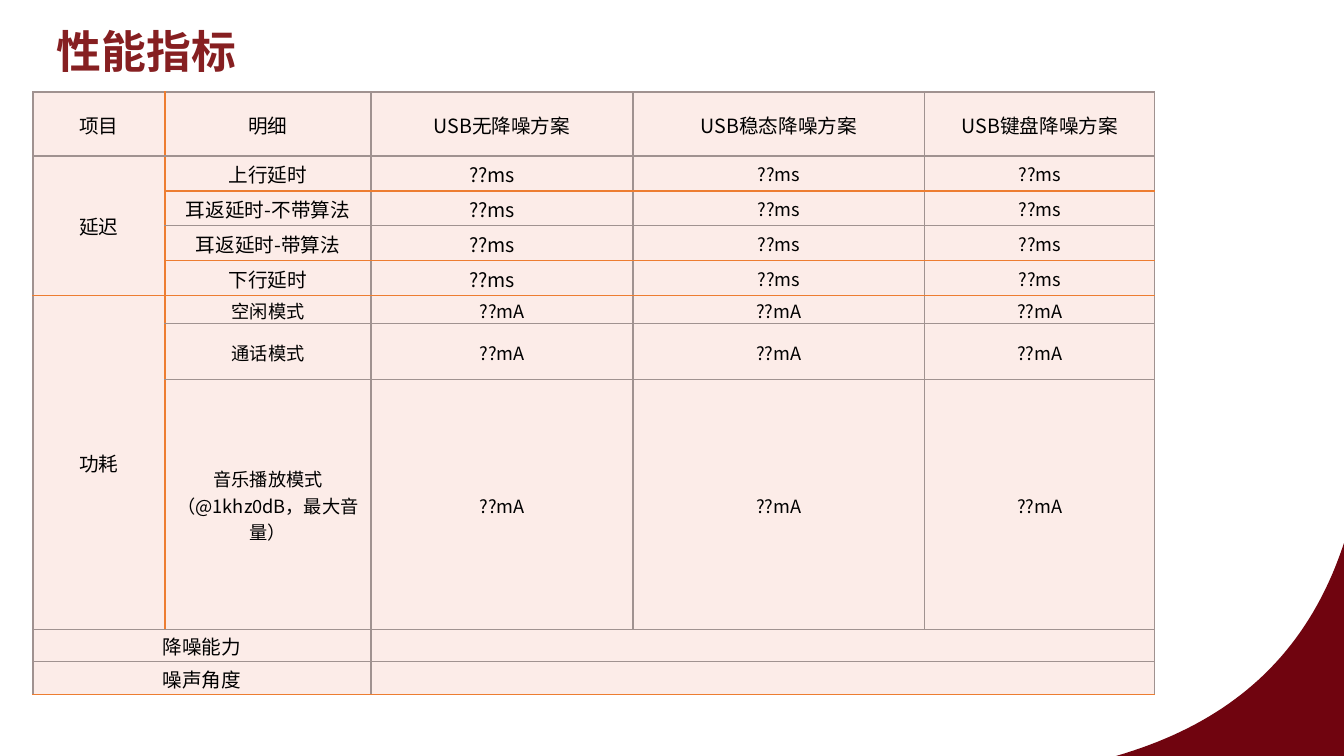
from pptx import Presentation
from pptx.dml.color import RGBColor
from pptx.enum.text import MSO_ANCHOR, PP_ALIGN
from pptx.oxml.ns import qn
from pptx.util import Pt
from lxml import etree

MID, LOW = MSO_ANCHOR.MIDDLE, MSO_ANCHOR.BOTTOM
CENTER = PP_ALIGN.CENTER
COLORS = {"title": "861F21", "curve": "70040F", "cell": "FCECE8",
          "text": "000000", "orange": "ED7D31", "gray": "A09290"}


def px(n):
    return round(n * 12192000 / 1344)


def style(run, face, size, color, bold=False):
    font = run.font
    font.name, font.size, font.bold = face, Pt(size), bold
    font.color.rgb = RGBColor.from_string(COLORS[color])
    etree.SubElement(run._r.get_or_add_rPr(), qn("a:ea"), typeface=face)


deck = Presentation()
deck.slide_width, deck.slide_height = px(1344), px(756)
slide = deck.slides.add_slide(deck.slide_layouts[5])
shapes = slide.shapes

A, B, C, D = (1344, 543), (1307, 656), (1230, 723), (1116, 756)
STEPS = 40
arc = []
for i in range(STEPS + 1):
    t = i / STEPS
    u = 1 - t
    arc.append([px(u**3 * a + 3 * u * u * t * b + 3 * u * t * t * c + t**3 * d)
                for a, b, c, d in zip(A, B, C, D)])
pen = shapes.build_freeform(px(1344), px(756))
pen.add_line_segments(arc, close=True)
curve = pen.convert_to_shape()
curve.shadow.inherit = False
curve.fill.solid()
curve.fill.fore_color.rgb = RGBColor.from_string(COLORS["curve"])
curve.line.fill.background()

title = shapes.title
title.left, title.top, title.width, title.height = px(9), px(19), px(275), px(64)
frame = title.text_frame
frame.text = "性能指标"
frame.vertical_anchor = LOW
head = frame.paragraphs[0]
head.alignment, head.line_spacing = CENTER, 0.9
style(head.runs[0], "Noto Sans CJK JP", 32, "title", True)

DELAY = ["??ms　", "??ms", "??ms"]
POWER = ["??mA"] * 3
ROWS = [
    ["项目", "明细", "USB无降噪方案", "USB稳态降噪方案", "USB键盘降噪方案"],
    ["延迟", "上行延时", *DELAY],
    ["", "耳返延时-不带算法", *DELAY],
    ["", "耳返延时-带算法", *DELAY],
    ["", "下行延时", *DELAY],
    ["功耗", "空闲模式", *POWER],
    ["", "通话模式", *POWER],
    ["", "音乐播放模式（@1khz0dB，最大音量）", *POWER],
    ["降噪能力", "", "", "", ""],
    ["噪声角度", "", "", "", ""],
]
WIDTHS = [132, 206, 262, 292, 230]
HEIGHTS = [64, 35, 35, 35, 35, 28, 56, 250, 32, 33]
SPANS = [(1, 0, 4, 0), (5, 0, 7, 0), (8, 0, 8, 1), (8, 2, 8, 4),
         (9, 0, 9, 1), (9, 2, 9, 4)]
WARM = {2, 4, 5, 10}

table = shapes.add_table(len(ROWS), len(WIDTHS), px(33), px(92),
                         px(sum(WIDTHS)), px(sum(HEIGHTS))).table
for col, width in zip(table.columns, WIDTHS):
    col.width = px(width)
for row, height in zip(table.rows, HEIGHTS):
    row.height = px(height)

for r, words in enumerate(ROWS):
    for c, word in enumerate(words):
        cell = table.cell(r, c)
        cell.margin_left = cell.margin_right = cell.margin_top = px(1)
        cell.margin_bottom = 0
        cell.vertical_anchor = MID
        cell.text_frame.text = word
        para = cell.text_frame.paragraphs[0]
        para.alignment = CENTER
        small = (c > 2 and r > 0) or (c > 0 and r > 4)
        for run in para.runs:
            style(run, "Noto Sans CJK SC", 13 if small else 14, "text")
        if not word:
            etree.SubElement(para._p, qn("a:endParaRPr"), sz="1300")

        edges = {"lnL": c == 1 and r < 8, "lnR": c == 0 and r < 8,
                 "lnT": r in WARM, "lnB": r + 1 in WARM}
        props = cell._tc.get_or_add_tcPr()
        for tag, warm in edges.items():
            line = etree.SubElement(props, qn("a:" + tag), w=str(Pt(1)))
            fill = etree.SubElement(line, qn("a:solidFill"))
            etree.SubElement(fill, qn("a:srgbClr"),
                             val=COLORS["orange" if warm else "gray"])
        cell.fill.solid()
        cell.fill.fore_color.rgb = RGBColor.from_string(COLORS["cell"])

for top, left, end, right in SPANS:
    table.cell(top, left).merge(table.cell(end, right))

deck.save("out.pptx")
